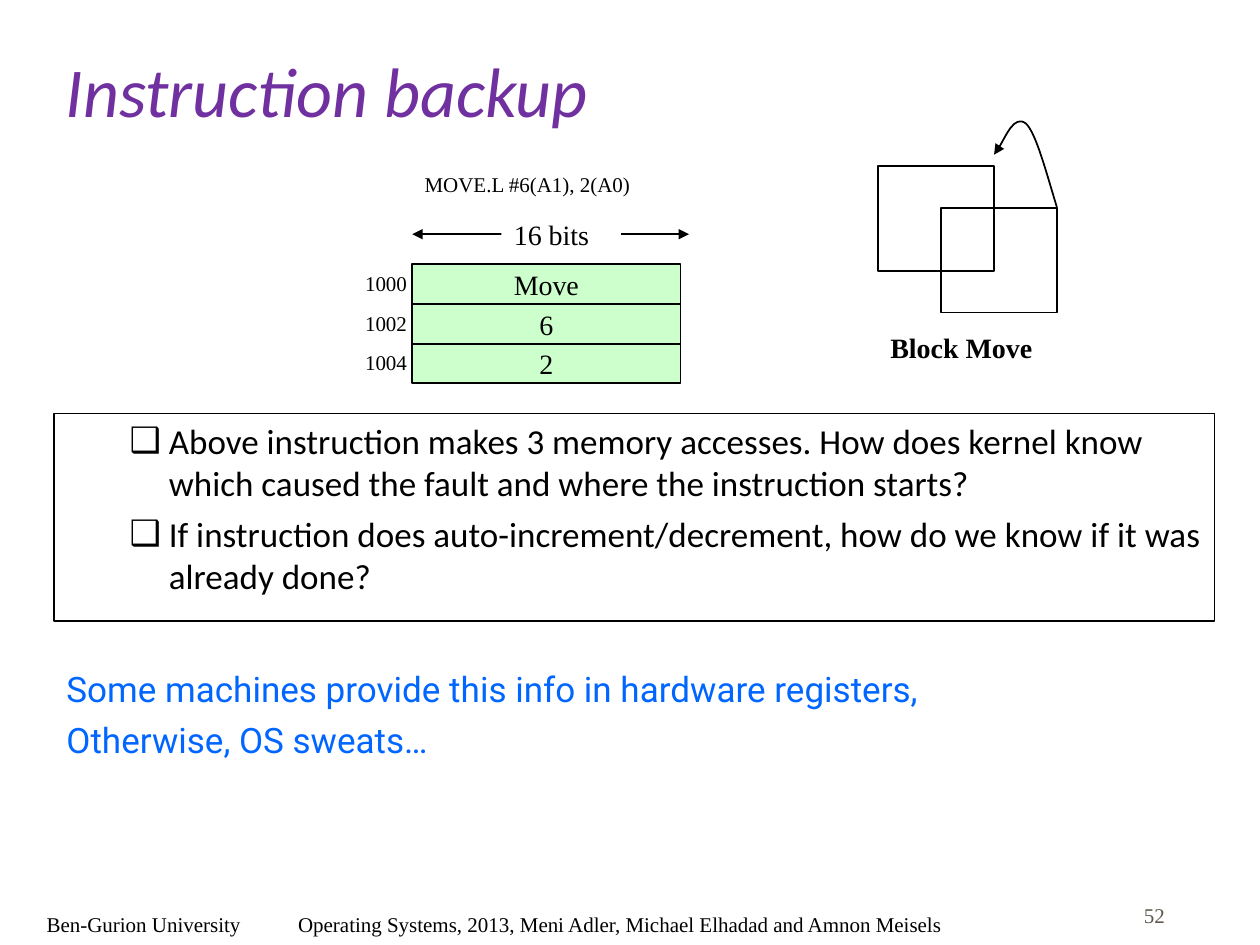
from dataclasses import dataclass

from lxml import etree
from pptx import Presentation
from pptx.dml.color import RGBColor
from pptx.enum.shapes import MSO_CONNECTOR as Link, MSO_SHAPE as Preset
from pptx.enum.text import MSO_ANCHOR as Anchor, MSO_AUTO_SIZE as AutoSize, PP_ALIGN as Align
from pptx.oxml.ns import qn
from pptx.util import Cm, Pt

# Content
TITLE = "Instruction backup"
QUESTIONS = [
    "Above instruction makes 3 memory accesses. How does kernel know which caused "
    "the fault and where the instruction starts?",
    "If instruction does auto-increment/decrement, how do we know if it was already done?",
]
ANSWERS = ["Some machines provide this info in hardware registers,", "Otherwise, OS sweats…"]
INSTRUCTION = "MOVE.L #6(A1), 2(A0)"
WORD_SIZE = "16 bits"
MEMORY = [("1000", "Move"), ("1002", "6"), ("1004", "2")]
BLOCK_LABEL = "Block Move"
FOOTER = "Ben-Gurion University\tOperating Systems, 2013, Meni Adler, Michael Elhadad and Amnon Meisels"
PAGE_NUMBER = "52"

# Layout in cm
MEMORY_LEFT, MEMORY_TOP, MEMORY_WIDTH, ROW_HEIGHT = 8.31, 5.33, 5.41, 0.8
ADDRESS_LEFT = 7.11
ARROW_Y, ARROW_RIGHT = 4.72, 13.89
BLOCKS = [(17.7, 3.35), (18.97, 4.19)]
BLOCK_WIDTH, BLOCK_HEIGHT = 2.34, 2.11
CURVE_START = (21.31, 4.19)
CURVE_POINTS = [(21.08, 3.43), (20.88, 2.67), (20.68, 2.49),
                (20.45, 2.31), (20.14, 3.02), (20.04, 3.12)]


@dataclass(frozen=True)
class Theme:
    ink: str = "000000"
    paper: str = "FFFFFF"
    title: str = "7030A0"
    answer: str = "0066FF"
    cell: str = "CCFFCC"
    number: str = "5E574E"
    serif: str = "Times New Roman"
    sans: str = "Calibri"
    answer_font: str = "Roboto"
    title_size: float = 40
    body_size: float = 20
    label_size: float = 16
    small_size: float = 12
    line: float = 1
    thin: float = 0.75


theme = Theme()


def color(code):
    return RGBColor.from_string(code)


def write(box, *lines, font=theme.serif, size=theme.small_size, ink=theme.ink, bold=False,
          italic=False, align=Align.LEFT, anchor=Anchor.TOP, gap=0, bullet=None,
          hanging=None, tab=None):
    """Fill a shape with paragraphs in one format."""
    frame = box.text_frame
    frame.word_wrap = True
    frame.auto_size = AutoSize.NONE
    frame.vertical_anchor = anchor
    for index, line in enumerate(lines):
        para = frame.paragraphs[0] if index == 0 else frame.add_paragraph()
        para.text = line
        para.alignment = align
        para.space_before = Pt(gap if index else 0)
        props = para._p.get_or_add_pPr()
        if bullet:
            para.level = 1
            etree.SubElement(props, qn("a:buChar"), char=bullet)
        if hanging:
            margin, indent = hanging
            props.set("marL", str(Cm(margin)))
            props.set("indent", str(Cm(-indent)))
        if tab:
            stops = etree.SubElement(props, qn("a:tabLst"))
            etree.SubElement(stops, qn("a:tab"), pos=str(Cm(tab)), algn="l")
        para.font.name = font
        para.font.size = Pt(size)
        para.font.bold = bold
        para.font.italic = italic
        para.font.color.rgb = color(ink)
        for span in para.runs:
            span.font.name = font
            span.font.size = Pt(size)
            span.font.bold = bold
            span.font.italic = italic
            span.font.color.rgb = color(ink)


def place(shape, *area):
    shape.left, shape.top, shape.width, shape.height = map(Cm, area)
    return shape


def add_text(page, area, *lines, **style):
    box = page.shapes.add_textbox(*map(Cm, area))
    write(box, *lines, **style)
    return box


def add_rect(shapes, *area, fill=None):
    rect = shapes.add_shape(Preset.RECTANGLE, *map(Cm, area))
    rect.shadow.inherit = False
    if fill:
        rect.fill.solid()
        rect.fill.fore_color.rgb = color(fill)
    else:
        rect.fill.background()
    draw_line(rect)
    return rect


def draw_line(shape, width=theme.line, arrows=()):
    shape.line.color.rgb = color(theme.ink)
    shape.line.width = Pt(width)
    for end in arrows:
        etree.SubElement(shape.line._get_or_add_ln(), qn(f"a:{end}"), type="triangle")


def add_curve(shapes, start, points):
    """Draw an open outline whose points are taken in threes as Bezier controls."""
    builder = shapes.build_freeform(*map(Cm, start))
    builder.add_line_segments([(Cm(x), Cm(y)) for x, y in points], close=False)
    curve = builder.convert_to_shape()
    segments = list(curve._element.iter(qn("a:lnTo")))
    for first in range(0, len(segments), 3):
        trio = segments[first:first + 3]
        bezier = etree.Element(qn("a:cubicBezTo"))
        trio[0].addprevious(bezier)
        for segment in trio:
            bezier.append(segment[0])
            segment.getparent().remove(segment)
    curve.shadow.inherit = False
    curve.fill.background()
    return curve


def add_memory(page):
    # Word width arrow, interrupted by its label
    arrow = page.shapes.add_connector(
        Link.STRAIGHT, Cm(MEMORY_LEFT), Cm(ARROW_Y), Cm(ARROW_RIGHT), Cm(ARROW_Y))
    draw_line(arrow, arrows=("headEnd", "tailEnd"))
    etree.SubElement(arrow._element.spPr, qn("a:effectLst"))
    label = add_text(page, (10.11, 4.27, 2.41, 0.94), WORD_SIZE, size=theme.label_size)
    label.fill.solid()
    label.fill.fore_color.rgb = color(theme.paper)

    # Memory words with their addresses
    for row, (address, word) in enumerate(MEMORY):
        top = MEMORY_TOP + row * ROW_HEIGHT
        cell = add_rect(page.shapes, MEMORY_LEFT, top, MEMORY_WIDTH, ROW_HEIGHT, fill=theme.cell)
        write(cell, word, size=theme.label_size, align=Align.CENTER, anchor=Anchor.MIDDLE)
        add_text(page, (ADDRESS_LEFT, top, 1.8, 0.76), address)
    add_text(page, (MEMORY_LEFT, 3.33, 5.99, 0.76), INSTRUCTION)


def add_block_move(page):
    group = page.shapes.add_group_shape()
    for left, top in BLOCKS:
        add_rect(group.shapes, left, top, BLOCK_WIDTH, BLOCK_HEIGHT)
    draw_line(add_curve(group.shapes, CURVE_START, CURVE_POINTS), arrows=("tailEnd",))
    add_text(page, (17.7, 6.53, 4.19, 0.94), BLOCK_LABEL, size=theme.label_size, bold=True)


def main():
    deck = Presentation()
    deck.slide_width, deck.slide_height = Cm(25.4), Cm(19.05)
    page = deck.slides.add_slide(deck.slide_layouts[1])

    # Title and questions
    title = place(page.shapes.title, 1.07, 0.84, 21.59, 1.47)
    write(title, TITLE, font=theme.sans, size=theme.title_size, ink=theme.title, italic=True)
    body = place(page.placeholders[1], 1.09, 8.33, 23.39, 4.19)
    write(body, *QUESTIONS, font=theme.sans, size=theme.body_size, gap=5,
          bullet="❑", hanging=(2.06, 0.79))
    draw_line(body, theme.thin)

    # Diagrams
    add_memory(page)
    add_block_move(page)

    # Answer and footer
    add_text(page, (1.09, 13.34, 21.11, 4.19), *ANSWERS, font=theme.answer_font,
             size=theme.body_size, ink=theme.answer, gap=5, hanging=(0.95, 0.95))
    add_text(page, (0.69, 18.26, 22, 0.79), FOOTER, tab=5.07)
    add_text(page, (22.81, 18.06, 1.73, 0.81), PAGE_NUMBER, ink=theme.number)

    deck.save("out.pptx")


if __name__ == "__main__":
    main()
